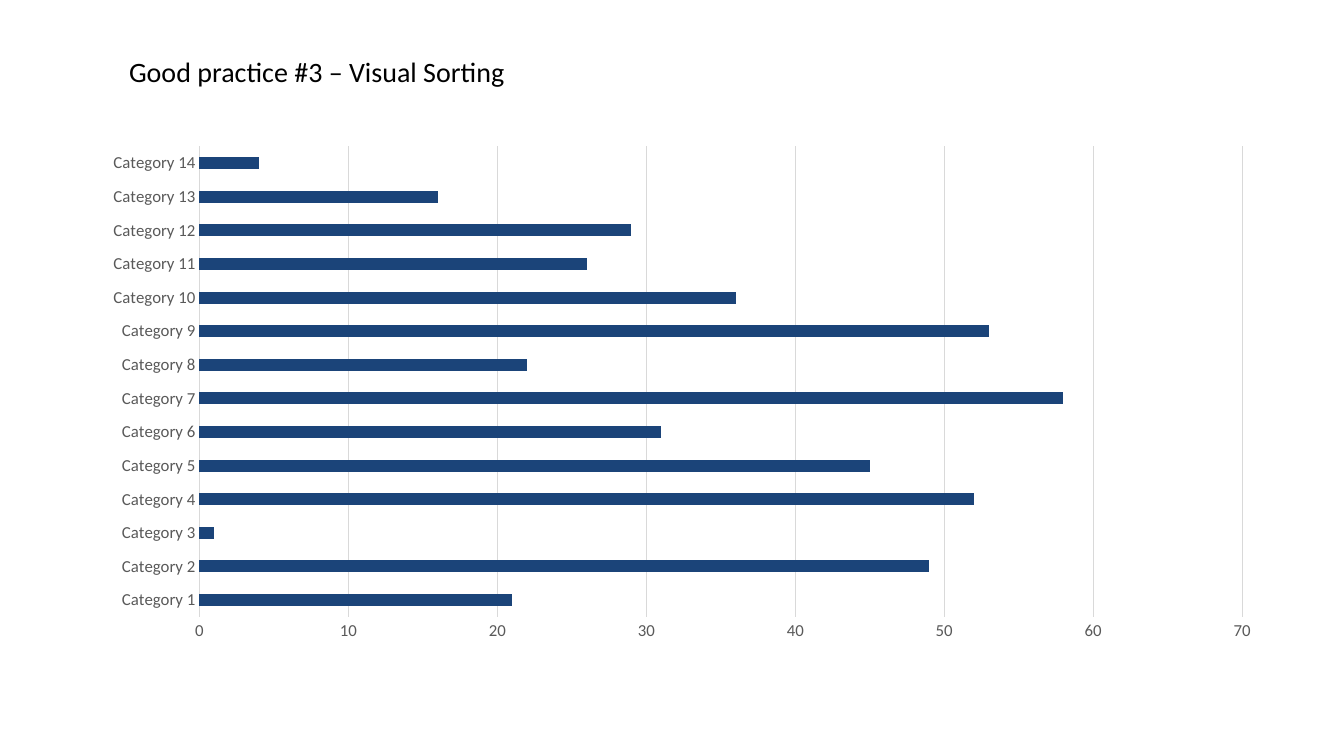
"""Build a slide with a title and a horizontal bar chart of fourteen categories."""
from pptx import Presentation
from pptx.chart.data import CategoryChartData
from pptx.dml.color import RGBColor
from pptx.enum.chart import XL_CHART_TYPE, XL_TICK_MARK
from pptx.enum.text import MSO_ANCHOR
from pptx.util import Inches, Pt

FONT = "Calibri"
BLACK = RGBColor(0x00, 0x00, 0x00)
LABEL_GREY = RGBColor(0x59, 0x59, 0x59)
GRID_GREY = RGBColor(0xD9, 0xD9, 0xD9)
BAR_BLUE = RGBColor(0x1B, 0x44, 0x79)
VALUES = (21, 49, 1, 52, 45, 31, 58, 22, 53, 36, 26, 29, 16, 4)


def style_font(font, size, color):
    """Set the typeface, size and colour of a font."""
    font.name = FONT
    font.size = Pt(size)
    font.color.rgb = color


def style_line(line):
    """Make a line thin and light grey."""
    line.color.rgb = GRID_GREY
    line.width = Pt(0.75)


def add_title(page, left, top, width, height):
    """Place the slide title in the given box."""
    box = page.shapes.add_textbox(left, top, width, height)
    frame = box.text_frame
    frame.word_wrap = True
    frame.vertical_anchor = MSO_ANCHOR.MIDDLE
    frame.margin_left = frame.margin_right = 0
    frame.margin_top = frame.margin_bottom = 0
    frame.text = "Good practice #3 – Visual Sorting"
    para = frame.paragraphs[0]
    para.line_spacing = 0.9
    style_font(para.runs[0].font, 20, BLACK)


def add_bar_chart(page, left, top, width, height):
    """Place the category bar chart in the given box."""
    data = CategoryChartData()
    data.categories = [f"Category {number}" for number in range(1, len(VALUES) + 1)]
    data.add_series("Series 1", VALUES)
    chart = page.shapes.add_chart(
        XL_CHART_TYPE.BAR_CLUSTERED, left, top, width, height, data
    ).chart
    chart.has_legend = False
    chart.has_title = False
    style_font(chart.font, 10, BLACK)

    plot = chart.plots[0]
    plot.gap_width = 182
    plot.vary_by_categories = False
    fill = plot.series[0].format.fill
    fill.solid()
    fill.fore_color.rgb = BAR_BLUE

    for axis in (chart.category_axis, chart.value_axis):
        axis.major_tick_mark = XL_TICK_MARK.NONE
        axis.minor_tick_mark = XL_TICK_MARK.NONE
        style_font(axis.tick_labels.font, 12, LABEL_GREY)

    style_line(chart.category_axis.format.line)
    value_axis = chart.value_axis
    value_axis.minimum_scale = 0
    value_axis.maximum_scale = 70
    value_axis.major_unit = 10
    value_axis.format.line.fill.background()
    value_axis.has_major_gridlines = True
    style_line(value_axis.major_gridlines.format.line)


def main():
    """Build and save the deck."""
    deck = Presentation()
    deck.slide_width = Inches(13.33)
    deck.slide_height = Inches(7.5)
    page = deck.slides.add_slide(deck.slide_layouts[6])
    add_bar_chart(page, Inches(0.89), Inches(1.35), Inches(11.75), Inches(5.11))
    add_title(page, Inches(1.28), Inches(0.54), Inches(4.43), Inches(0.38))
    deck.save("out.pptx")


if __name__ == "__main__":
    main()
